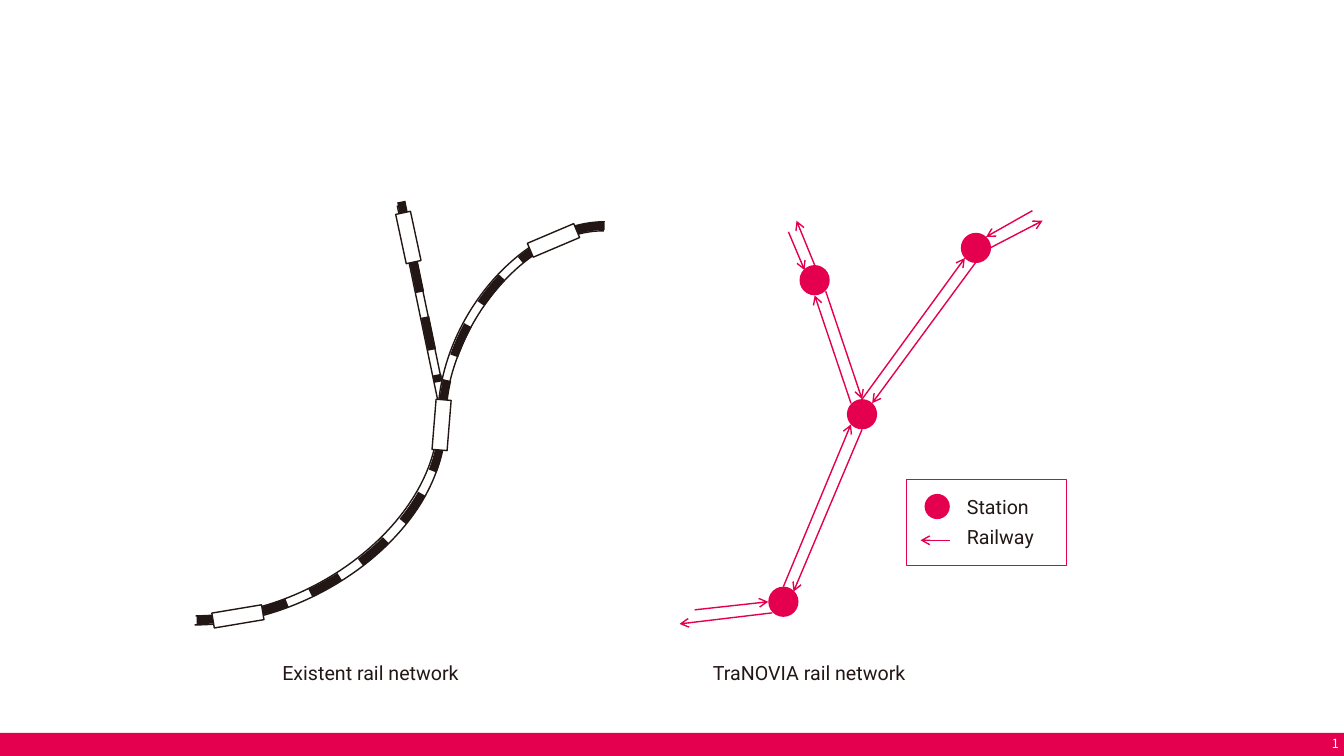
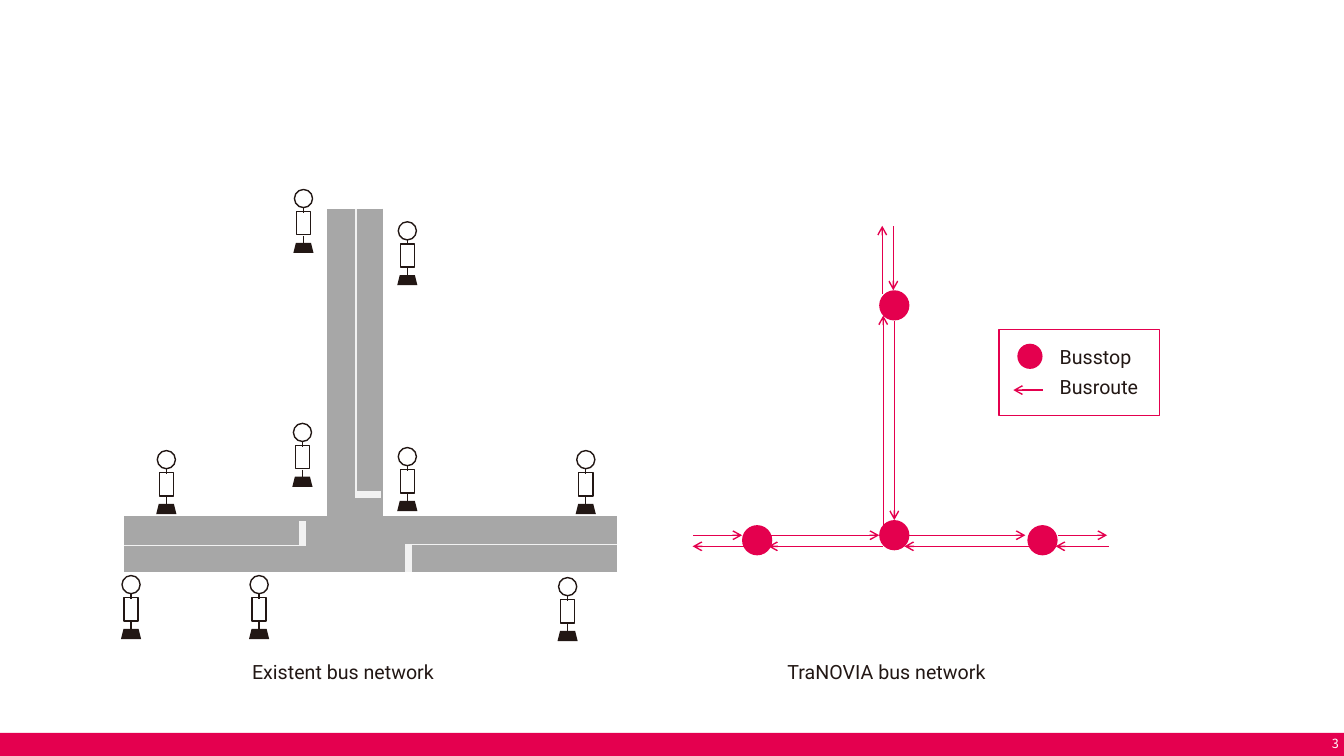
from pptx import Presentation
from pptx.dml.color import RGBColor
from pptx.enum.dml import MSO_LINE
from pptx.enum.shapes import MSO_CONNECTOR, MSO_SHAPE
from pptx.enum.text import MSO_ANCHOR, MSO_AUTO_SIZE, PP_ALIGN
from pptx.oxml.ns import qn
from pptx.util import Inches, Pt
from lxml.etree import SubElement

HEX = {"band": "E4004F", "pink": "E4004E", "ink": "221714", "road": "A7A7A7",
       "mark": "F2F2F2", "white": "FFFFFF"}

RAIL_NODES = [(9.68, 2.46), (7.77, 5.97), (8.08, 2.78), (8.55, 4.11)]
RAIL_ROUTES = [
    (8.44, 4.21, 7.77, 5.82), (8.08, 2.93, 8.44, 4), (9.57, 2.56, 8.55, 3.96),
    (8.55, 3.96, 8.19, 2.89), (7.87, 5.87, 8.55, 4.26), (8.65, 4, 9.68, 2.6),
    (6.74, 6.19, 7.66, 6.08), (7.62, 5.97, 6.89, 6.05), (10.34, 2.19, 9.82, 2.46),
    (9.78, 2.35, 10.24, 2.09), (7.9, 2.19, 8.08, 2.63), (7.98, 2.68, 7.82, 2.3),
]
TRAINS = [(4.13, 4.14, 274.6), (2.11, 6.04, 350.5), (5.24, 2.31, 337), (3.8, 2.28, 257.9)]

BUS_NODES = [(8.87, 5.31), (8.87, 3.03), (7.51, 5.36), (10.34, 5.36)]
BUS_ROUTES = [
    (8.76, 3.13, 8.76, 5.21), (8.87, 5.16, 8.87, 3.18), (7.62, 5.42, 8.76, 5.42),
    (8.72, 5.31, 7.64, 5.31), (8.97, 5.42, 10.23, 5.42), (10.17, 5.31, 9.01, 5.31),
    (8.75, 2.24, 8.75, 2.92), (8.86, 2.88, 8.86, 2.24), (6.87, 5.42, 7.4, 5.42),
    (7.36, 5.31, 6.87, 5.31), (10.47, 5.42, 11, 5.42), (10.98, 5.31, 10.49, 5.31),
]
ROADS = [(3.52, 2.07, 3.52, 5.14), (6.12, 5.4, 1.23, 5.4)]
BARS = [(4.05, 5.4, 4.05, 5.67), (3, 5.17, 3, 5.42), (3.52, 4.91, 3.78, 4.91)]
LANES = [(4.04, 5.4, 6.12, 5.4), (1.23, 5.41, 3, 5.41), (3.53, 4.91, 3.53, 2.07)]
STOPS = [(4.04, 4.44), (2.57, 5.71), (3, 4.2), (4.04, 2.2), (3.01, 1.88),
         (1.3, 5.71), (1.65, 4.47), (5.81, 4.47), (5.63, 5.73)]


def color(name):
    """Return the named colour."""
    return RGBColor.from_string(HEX[name])


def shape(slide, kind, x, y, w, h, fill=None, line=None, turn=0):
    """Add a preset shape without shadow."""
    item = slide.shapes.add_shape(kind, Inches(x), Inches(y), Inches(w), Inches(h))
    item.shadow.inherit = False
    item.rotation = turn
    if fill:
        item.fill.solid()
        item.fill.fore_color.rgb = color(fill)
    else:
        item.fill.background()
    if line:
        item.line.color.rgb = color(line)
        item.line.width = Pt(1)
    else:
        item.line.fill.background()
    return item


def line(slide, ends, hue, width=1, dash=False, head=False, bend=None):
    """Add a line, or a curve when bend gives its middle."""
    kind = MSO_CONNECTOR.CURVE if bend else MSO_CONNECTOR.STRAIGHT
    item = slide.shapes.add_connector(kind, *[Inches(n) for n in ends])
    item.line.color.rgb = color(hue)
    item.line.width = Pt(width)
    if dash:
        item.line.dash_style = MSO_LINE.DASH
    props = item.element.spPr
    if head:
        SubElement(props.find(qn("a:ln")), qn("a:headEnd"), type="arrow")
    if bend:
        guides = next(props.iter(qn("a:avLst")))
        SubElement(guides, qn("a:gd"), name="adj1", fmla=f"val {round(bend * 100000)}")
    SubElement(props, qn("a:effectLst"))


def text(slide, words, x, y, w, h=0.34, size=14, font="Roboto", hue="ink", wrap=True):
    """Add a one-line text box and return its frame."""
    frame = slide.shapes.add_textbox(Inches(x), Inches(y), Inches(w), Inches(h)).text_frame
    frame.word_wrap = wrap
    frame.auto_size = MSO_AUTO_SIZE.SHAPE_TO_FIT_TEXT
    frame.margin_left = frame.margin_right = Inches(0.05)
    frame.margin_top = frame.margin_bottom = Inches(0.05)
    para = frame.paragraphs[0]
    para.text = words
    para.font.size = Pt(size)
    para.font.name = font
    para.font.color.rgb = color(hue)
    return frame


def number(slide, words):
    """Add the page number on the band."""
    frame = text(slide, words, 12.99, 7.27, 0.34, 0.22, 9, "Noto Sans CJK JP", "white", False)
    frame.vertical_anchor = MSO_ANCHOR.MIDDLE
    frame.paragraphs[0].alignment = PP_ALIGN.RIGHT


def legend(slide, x, y, node, route):
    """Add the key to nodes and routes."""
    text(slide, node, x + 0.55, y + 0.1, 0.93)
    text(slide, route, x + 0.55, y + 0.4, 0.93)
    shape(slide, MSO_SHAPE.OVAL, x + 0.18, y + 0.14, 0.25, 0.25, "pink")
    line(slide, (x + 0.14, y + 0.6, x + 0.43, y + 0.6), "pink", head=True)
    shape(slide, MSO_SHAPE.RECTANGLE, x, y, 1.59, 0.85, line="pink")


def graph(slide, nodes, routes):
    """Add nodes joined by arrows."""
    for x, y in nodes:
        shape(slide, MSO_SHAPE.OVAL, x - 0.15, y - 0.15, 0.3, 0.3, "pink")
    for ends in routes:
        line(slide, ends, "pink", head=True)


def stop(slide, x, y):
    """Add a bus stop sign centred on x with its top at y."""
    shape(slide, MSO_SHAPE.RECTANGLE, x - 0.07, y + 0.22, 0.14, 0.23, line="ink")
    shape(slide, MSO_SHAPE.OVAL, x - 0.09, y, 0.18, 0.18, line="ink")
    for top, end in ((0.18, 0.23), (0.46, 0.53)):
        line(slide, (x, y + top, x, y + end), "ink")
    shape(slide, MSO_SHAPE.TRAPEZOID, x - 0.1, y + 0.53, 0.2, 0.1, "ink")


def tracks(slide):
    """Add the two railway lines and their trains."""
    line(slide, (1.94, 6.11, 6, 2.2), "ink", bend=0.592)
    line(slide, (1.93, 6.2, 5.99, 2.29), "ink", bend=0.61)
    line(slide, (1.95, 6.15, 6.01, 2.24), "ink", 6, dash=True, bend=0.6)
    line(slide, (4.01, 2, 4.42, 3.97), "ink")
    line(slide, (3.94, 2.04, 4.35, 4.01), "ink")
    line(slide, (3.98, 2, 4.35, 3.79), "ink", 6, dash=True)
    for x, y, turn in TRAINS:
        shape(slide, MSO_SHAPE.RECTANGLE, x, y, 0.5, 0.15, "white", "ink", turn)


def streets(slide):
    """Add the roads, their markings and the bus stops."""
    for group, hue, width in ((ROADS, "road", 40), (BARS, "mark", 5), (LANES, "mark", 1)):
        for ends in group:
            line(slide, ends, hue, width)
    for x, y in STOPS:
        stop(slide, x, y)


def rail(slide):
    """Build the rail slide."""
    number(slide, "1")
    legend(slide, 8.99, 4.76, "Station", "Railway")
    tracks(slide)
    graph(slide, RAIL_NODES, RAIL_ROUTES)
    text(slide, "Existent rail network", 2.75, 6.51, 2.15)
    text(slide, "TraNOVIA rail network", 7.02, 6.51, 2.15)


def bus(slide):
    """Build the bus slide."""
    number(slide, "3")
    streets(slide)
    legend(slide, 9.91, 3.27, "Busstop", "Busroute")
    graph(slide, BUS_NODES, BUS_ROUTES)
    text(slide, "TraNOVIA bus network", 7.76, 6.5, 2.15)
    text(slide, "Existent bus network", 2.45, 6.5, 2.15)


def main():
    """Build and save the deck."""
    deck = Presentation()
    deck.slide_width, deck.slide_height = Inches(13.33), Inches(7.5)
    blank = deck.slide_layouts[6]
    first = deck.slides.add_slide(blank)
    band = shape(first, MSO_SHAPE.RECTANGLE, 0, 7.27, 13.33, 0.23, "band")
    deck.slide_master.shapes.element.append(band.element)
    rail(first)
    bus(deck.slides.add_slide(blank))
    deck.save("out.pptx")


main()
